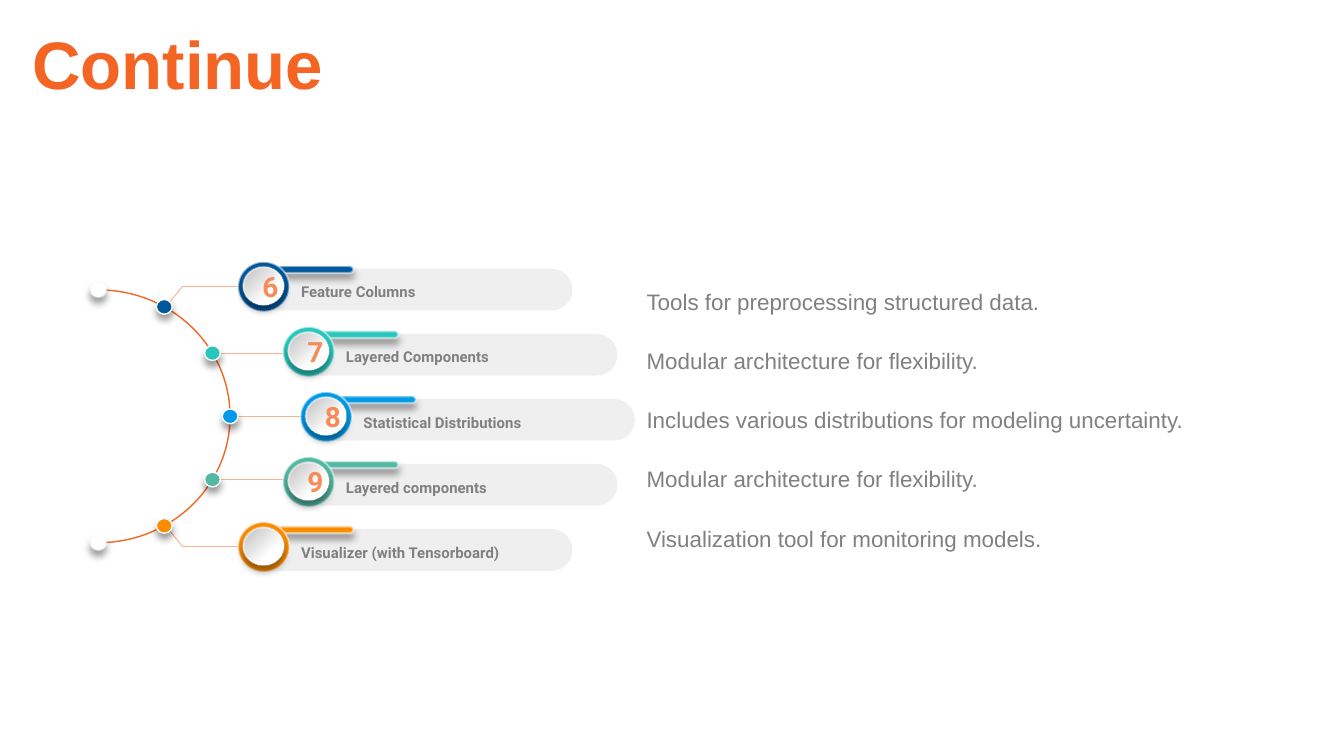
from math import cos, radians, sin

from lxml.etree import SubElement as Sub
from pptx import Presentation
from pptx.dml.color import RGBColor
from pptx.enum.shapes import MSO_CONNECTOR as Link, MSO_SHAPE as Kind
from pptx.enum.text import MSO_ANCHOR as Anchor, PP_ALIGN as Align
from pptx.oxml.ns import qn
from pptx.util import Cm, Pt

ORANGE, PALE, GREY, WHITE = "F46524", "FAB292", "808080", "FFFFFF"

# Each row: bar left edge, number, label, description, colour
ROWS = [
    (4.6, "6", "Feature Columns",
     "Tools for preprocessing structured data.", "01579B"),
    (5.45, "7", "Layered Components",
     "Modular architecture for flexibility.", "27C7BD"),
    (5.78, "8", "Statistical Distributions",
     "Includes various distributions for modeling uncertainty.", "0099E8"),
    (5.45, "9", "Layered components",
     "Modular architecture for flexibility.", "51B9A3"),
    (4.6, "", "Visualizer (with Tensorboard)",
     "Visualization tool for monitoring models.", "FB8C00"),
]
TOP, STEP = 5.08, 1.23
MID_X, MID_Y, RAD_X, RAD_Y = 1.86, 7.87, 2.49, 2.39


def paint(hue):
    return RGBColor.from_string(hue)


def fade(fill, part):
    """Set the opacity of a solid fill in percent."""
    tone = fill._xPr.find(qn("a:solidFill"))[0]
    Sub(tone, qn("a:alpha"), val=str(part * 1000))


def spot(angle):
    """Point on the curve, in degrees from the right, upwards positive."""
    turn = radians(angle)
    return MID_X + RAD_X * cos(turn), MID_Y - RAD_Y * sin(turn)


class Board:
    def __init__(self, deck):
        self.slide = deck.slides.add_slide(deck.slide_layouts[6])
        self.shapes = self.slide.shapes

    def style(self, run, size, hue, face, bold):
        font = run.font
        font.name, font.size, font.bold = face, Pt(size), bold
        font.color.rgb = paint(hue)

    def text(self, box, words, size, hue, face="Arial", bold=False,
             pad=0.0, anchor=Anchor.TOP, after=0):
        frame = self.shapes.add_textbox(*map(Cm, box)).text_frame
        frame.word_wrap, frame.vertical_anchor = True, anchor
        frame.margin_left = frame.margin_right = Cm(pad)
        frame.margin_top = frame.margin_bottom = Cm(pad)
        frame.text = words
        para = frame.paragraphs[0]
        para.space_after = Pt(after)
        self.style(para.runs[0], size, hue, face, bold)

    def shape(self, kind, box, hue, edge=0, clear=None, shade=False):
        item = self.shapes.add_shape(kind, *map(Cm, box))
        item.fill.solid()
        item.fill.fore_color.rgb = paint(hue)
        if edge:
            item.line.width = Pt(edge)
            item.line.color.rgb = paint(WHITE)
            if clear:
                fade(item.line.fill, clear)
        else:
            item.line.fill.background()
        if kind == Kind.ROUNDED_RECTANGLE:
            item.adjustments[0] = 0.5
        item.shadow.inherit = False
        if shade:
            self.shade(item)
        return item

    def shade(self, item):
        effect = item._element.spPr.find(qn("a:effectLst"))
        drop = Sub(effect, qn("a:outerShdw"), blurRad=str(Pt(4)),
                   dist=str(Pt(3)), dir="5400000", algn="t", rotWithShape="0")
        tone = Sub(drop, qn("a:srgbClr"), val="000000")
        Sub(tone, qn("a:alpha"), val="40000")

    def line(self, start, end):
        item = self.shapes.add_connector(Link.STRAIGHT, *map(Cm, start + end))
        item.line.width = Pt(0.5)
        item.line.color.rgb = paint(PALE)
        Sub(item._element.spPr, qn("a:effectLst"))

    def curve(self, points):
        spots = [(Cm(x), Cm(y)) for x, y in points]
        path = self.shapes.build_freeform(*spots[0])
        path.add_line_segments(spots[1:], close=False)
        item = path.convert_to_shape()
        item.fill.background()
        item.line.width = Pt(0.75)
        item.line.color.rgb = paint(ORANGE)
        item.shadow.inherit = False

    def dot(self, angle, hue, edge, clear=None):
        x, y = spot(angle)
        self.shape(Kind.OVAL, (x - 0.15, y - 0.14, 0.3, 0.28), hue,
                   edge, clear, True)

    def badge(self, x, y, mark, hue):
        self.shape(Kind.OVAL, (x - 0.1, y - 0.13, 0.97, 0.94), hue, 1, 52)
        disc = self.shape(Kind.OVAL, (x, y - 0.03, 0.76, 0.71), WHITE,
                          1.25, 42, True)
        disc.fill.gradient()
        disc.fill.gradient_angle = 315
        stops = zip(disc.fill.gradient_stops, ((0.09, "C7C7C7"), (0.68, WHITE)))
        for stop, (place, tone) in stops:
            stop.position, stop.color.rgb = place, paint(tone)
        if mark:
            frame = disc.text_frame
            frame.text, frame.vertical_anchor = mark, Anchor.MIDDLE
            para = frame.paragraphs[0]
            para.alignment = Align.CENTER
            self.style(para.runs[0], 15, "F78C5B", "Roboto", True)


def main():
    deck = Presentation()
    deck.slide_width, deck.slide_height = Cm(25.4), Cm(14.29)
    board = Board(deck)

    # Title
    board.text((0.36, 0.18, 14.43, 2.13), "Continue", 36, ORANGE,
               bold=True, pad=0.25, after=16)

    # Descriptions
    for i, row in enumerate(ROWS):
        board.text((12.22, 5.44 + 1.12 * i, 12.65, 0.51), row[3], 12, GREY,
                   anchor=Anchor.MIDDLE)

    # Leader lines: bent for the outer rows, straight for the inner ones
    for side in (-1, 1):
        bend = (3.45, MID_Y + side * 2.46)
        board.line((3.15, MID_Y + side * 2.09), bend)
        board.line(bend, (4.6, bend[1]))
    for angle, row in zip((30, 0, -30), ROWS[1:4]):
        x, y = spot(angle)
        board.line((x, y), (row[0] + 0.13, y))

    # Curve and its dots
    board.curve([spot(angle) for angle in range(90, -91, -3)])
    for angle in (90, -90):
        board.dot(angle, WHITE, 1.25, 42)
    for i, row in enumerate(ROWS):
        board.dot(60 - 30 * i, row[4], 0.75)

    # Rows: bar, strip, badge and label
    for i, (x, mark, label, _, hue) in enumerate(ROWS):
        y = TOP + STEP * i
        bar = board.shape(Kind.ROUNDED_RECTANGLE, (x, y, 6.22, 0.79), "D9D9D9")
        fade(bar.fill, 42)
        board.shape(Kind.ROUNDED_RECTANGLE, (x + 0.3, y - 0.05, 1.78, 0.13),
                    hue, 1.25, 48, True)
        board.badge(x, y, mark, hue)
        board.text((x + 0.91, y + 0.1, 5.23, 0.76), label, 8, GREY,
                   "Roboto", True, 0.18)

    deck.save("out.pptx")


if __name__ == "__main__":
    main()
